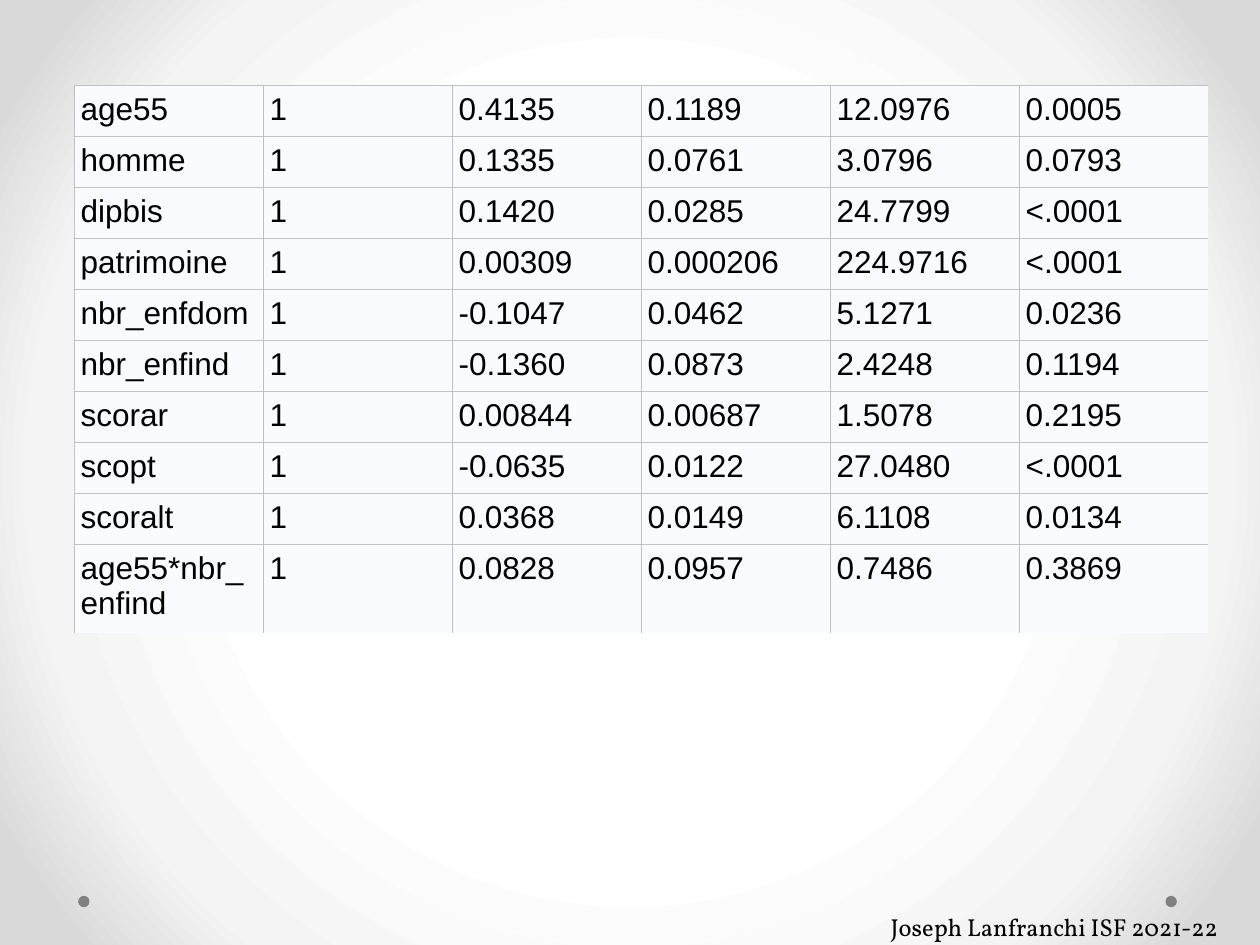
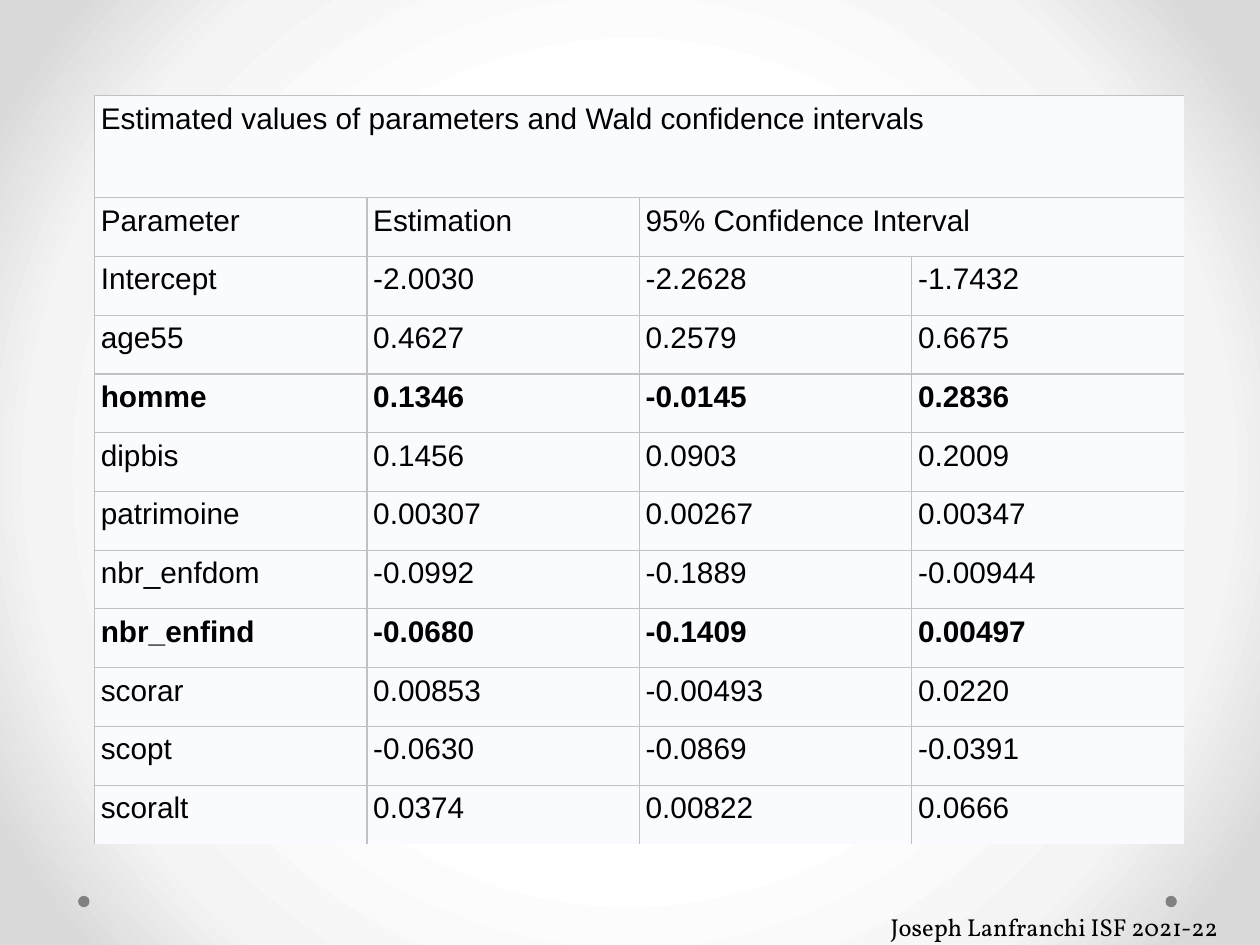
from lxml.etree import SubElement
from pptx import Presentation
from pptx.dml.color import RGBColor
from pptx.enum.shapes import MSO_SHAPE
from pptx.oxml.ns import qn
from pptx.util import Inches, Pt

COLORS = {
    "text": "000000",
    "cell": "FAFBFE",
    "border": "C1C1C1",
    "dot": "808080",
}
BACKDROP_STOPS = [(50, "FFFFFF"), (76, "F4F4F4"), (92, "DADADA")]
TABLE_FONT = "Arial"
FOOTER_FONT = "Vollkorn"
FOOTER = "Joseph Lanfranchi ISF 2021-22"

WALD_TESTS = [
    ["age55", "1", "0.4135", "0.1189", "12.0976", "0.0005"],
    ["homme", "1", "0.1335", "0.0761", "3.0796", "0.0793"],
    ["dipbis", "1", "0.1420", "0.0285", "24.7799", "<.0001"],
    ["patrimoine", "1", "0.00309", "0.000206", "224.9716", "<.0001"],
    ["nbr_enfdom", "1", "-0.1047", "0.0462", "5.1271", "0.0236"],
    ["nbr_enfind", "1", "-0.1360", "0.0873", "2.4248", "0.1194"],
    ["scorar", "1", "0.00844", "0.00687", "1.5078", "0.2195"],
    ["scopt", "1", "-0.0635", "0.0122", "27.0480", "<.0001"],
    ["scoralt", "1", "0.0368", "0.0149", "6.1108", "0.0134"],
    ["age55*nbr_enfind", "1", "0.0828", "0.0957", "0.7486", "0.3869"],
]
CONFIDENCE_INTERVALS = [
    ["Estimated values of parameters and Wald confidence intervals", "", "", ""],
    ["Parameter", "Estimation", "95% Confidence Interval", ""],
    ["Intercept", "-2.0030", "-2.2628", "-1.7432"],
    ["age55", "0.4627", "0.2579", "0.6675"],
    ["homme", "0.1346", "-0.0145", "0.2836"],
    ["dipbis", "0.1456", "0.0903", "0.2009"],
    ["patrimoine", "0.00307", "0.00267", "0.00347"],
    ["nbr_enfdom", "-0.0992", "-0.1889", "-0.00944"],
    ["nbr_enfind", "-0.0680", "-0.1409", "0.00497"],
    ["scorar", "0.00853", "-0.00493", "0.0220"],
    ["scopt", "-0.0630", "-0.0869", "-0.0391"],
    ["scoralt", "0.0374", "0.00822", "0.0666"],
]
NOT_SIGNIFICANT = ("homme", "nbr_enfind")


def color(name):
    return RGBColor.from_string(COLORS[name])


class Deck:
    def __init__(self):
        self.prs = Presentation()
        self.prs.slide_width = Inches(10)
        self.prs.slide_height = Inches(7.5)
        self.slide = None
        self.set_backdrop()

    def set_backdrop(self):
        master = self.prs.slide_master
        master.background.fill.gradient()
        gradient = master.element.find(".//" + qn("p:bg") + "//" + qn("a:gradFill"))
        for child in list(gradient):
            gradient.remove(child)
        stops = SubElement(gradient, qn("a:gsLst"))
        for position, value in BACKDROP_STOPS:
            stop = SubElement(stops, qn("a:gs"), pos=str(position * 1000))
            SubElement(stop, qn("a:srgbClr"), val=value)
        circle = SubElement(gradient, qn("a:path"))
        circle.set("path", "circle")
        SubElement(circle, qn("a:fillToRect"), l="50000", t="50000", r="50000", b="50000")

    def new_slide(self):
        self.slide = self.prs.slides.add_slide(self.prs.slide_layouts[6])
        for left in (9.25, 0.62):
            self.dot(left, 7.11)

    def dot(self, left, top):
        dot = self.slide.shapes.add_shape(
            MSO_SHAPE.OVAL, Inches(left), Inches(top), Inches(0.09), Inches(0.09))
        dot.shadow.inherit = False
        dot.fill.solid()
        dot.fill.fore_color.rgb = color("dot")
        dot.line.fill.background()

    def style_text(self, frame, font, size, bold=False):
        for run in frame.paragraphs[0].runs:
            run.font.name = font
            run.font.size = Pt(size)
            run.font.bold = bold
            run.font.color.rgb = color("text")

    def footer(self):
        box = self.slide.shapes.add_textbox(
            Inches(6.97), Inches(7.19), Inches(3.07), Inches(0.34))
        box.text_frame.word_wrap = True
        box.text_frame.text = FOOTER
        self.style_text(box.text_frame, FOOTER_FONT, 14)

    def borders(self, cell, last_column, last_row):
        properties = cell._tc.get_or_add_tcPr()
        sides = {"lnL": True, "lnR": not last_column, "lnT": True, "lnB": not last_row}
        for side, visible in sides.items():
            line = SubElement(properties, qn("a:" + side), w=str(Pt(0.75)))
            if visible:
                fill = SubElement(line, qn("a:solidFill"))
                SubElement(fill, qn("a:srgbClr"), val=COLORS["border"])
            else:
                SubElement(line, qn("a:noFill"))

    def table(self, rows, left, top, width, heights, size, merges=(), bold_rows=()):
        columns = len(rows[0])
        table = self.slide.shapes.add_table(
            len(rows), columns, Inches(left), Inches(top),
            Inches(width), Inches(sum(heights))).table
        table.first_row = False
        table.horz_banding = False
        for column in table.columns:
            column.width = Inches(width / columns)
        for row, height in zip(table.rows, heights):
            row.height = Inches(height)
        for row, first, last in merges:
            table.cell(row, first).merge(table.cell(row, last))
        for r, values in enumerate(rows):
            for c, value in enumerate(values):
                cell = table.cell(r, c)
                if cell.is_spanned:
                    continue
                cell.text_frame.text = value
                self.style_text(cell.text_frame, TABLE_FONT, size, values[0] in bold_rows)
                cell.margin_left = cell.margin_right = Inches(0.05)
                cell.margin_top = cell.margin_bottom = Inches(0.05)
                self.borders(cell, c + cell.span_width == columns, r == len(rows) - 1)
                cell.fill.solid()
                cell.fill.fore_color.rgb = color("cell")


def main():
    deck = Deck()

    deck.new_slide()
    deck.table(WALD_TESTS, 0.59, 0.68, 9, [0.405] * 9 + [0.7], 18)
    deck.footer()

    deck.new_slide()
    row_height = (5.94 - 0.81) / 11
    deck.table(CONFIDENCE_INTERVALS, 0.75, 0.76, 8.65, [0.81] + [row_height] * 11, 17,
               merges=[(0, 0, 3), (1, 2, 3)], bold_rows=NOT_SIGNIFICANT)
    deck.footer()

    deck.prs.save("out.pptx")


if __name__ == "__main__":
    main()
